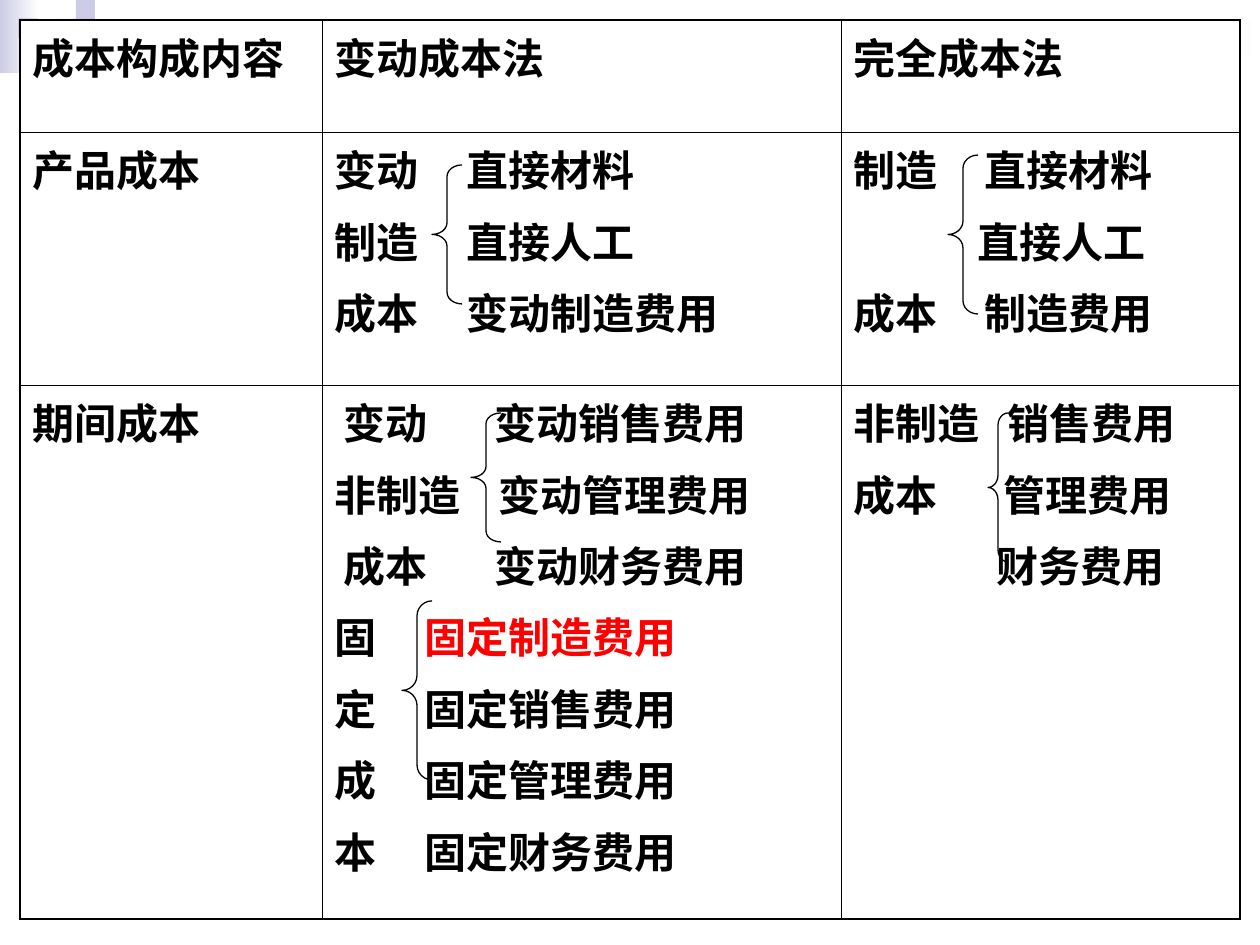
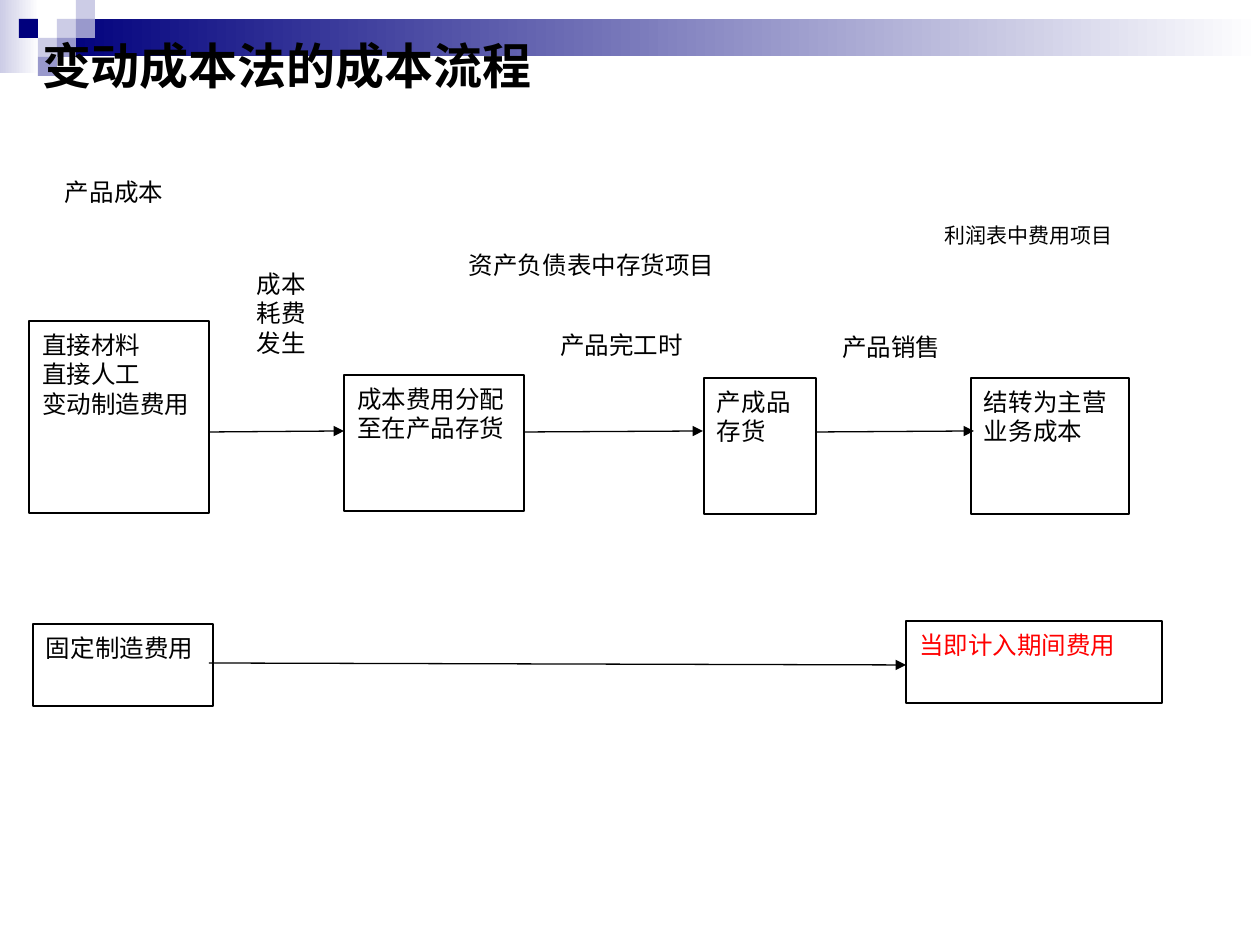
from dataclasses import dataclass
from typing import NamedTuple

from lxml import etree
from pptx import Presentation
from pptx import util as u
from pptx.dml.color import RGBColor
from pptx.enum import shapes, text
from pptx.oxml import ns

EMU_PER_PX = 914400 / 126
COLORS = {
    "black": "000000",
    "white": "FFFFFF",
    "red": "FF0000",
    "navy": "00007D",
    "lavender": "CCCCE6",
    "periwinkle": "9999CC",
}
CJK_FONT = "Noto Sans CJK SC"
INSETS = (13, 6, 13, 6)
LABEL_INSETS = (13, 9, 13, 6)
OUTER_BORDER, INNER_BORDER, LINE_WIDTH = 1.08, 0.45, 0.75


class Rect(NamedTuple):
    left: int
    top: int
    width: int
    height: int


class Line(NamedTuple):
    text: str
    tabs: tuple[int, ...] = ()
    last_color: str = "black"


@dataclass(frozen=True)
class FlowBox:
    rect: Rect
    lines: tuple[str, ...]
    outlined: bool = True
    color: str = "black"
    size: int = 14
    left_inset: int = 13


class Arrow(NamedTuple):
    start_x: int
    start_y: int
    end_x: int
    end_y: int


MOSAIC_STEP = 19
MOSAIC = [
    (3, 1, "lavender"), (4, 0, "lavender"), (4, 1, "periwinkle"), (2, 2, "lavender"),
    (1, 1, "navy"), (3, 2, "periwinkle"), (2, 3, "periwinkle"),
]
GRADIENTS = [(Rect(0, 0, 39, 73), "lavender"), (Rect(57, 19, 1203, 37), "navy")]

TABLE_POSITION = (20, 20)
COLUMN_WIDTHS = [302, 519, 399]
ROW_HEIGHTS = [112, 253, 534]
COST_TABLE = [
    [[Line("成本构成内容")], [Line("变动成本法")], [Line("完全成本法")]],
    [
        [Line("产品成本")],
        [
            Line("变动\t直接材料", (132,)),
            Line("制造\t直接人工", (132,)),
            Line("成本\t变动制造费用", (132,)),
        ],
        [
            Line("制造\t直接材料", (131,)),
            Line("\t直接人工", (124,)),
            Line("成本\t制造费用", (131,)),
        ],
    ],
    [
        [Line("期间成本")],
        [
            Line("\t变动\t变动销售费用", (9, 160)),
            Line("非制造\t变动管理费用", (164,)),
            Line("\t成本\t变动财务费用", (9, 160)),
            Line("固\t固定制造费用", (90,), "red"),
            Line("定\t固定销售费用", (90,)),
            Line("成\t固定管理费用", (90,)),
            Line("本\t固定财务费用", (90,)),
        ],
        [
            Line("非制造\t销售费用", (154,)),
            Line("成本\t管理费用", (150,)),
            Line("\t财务费用", (143,)),
        ],
    ],
]
BRACES = [
    Rect(432, 165, 30, 139), Rect(948, 155, 30, 159), Rect(471, 413, 30, 129),
    Rect(402, 601, 30, 179), Rect(988, 413, 20, 149),
]

FLOW_BOXES = [
    FlowBox(Rect(29, 321, 180, 192), ("直接材料", "直接人工", "变动制造费用")),
    FlowBox(Rect(52, 168, 135, 82), ("产品成本",), outlined=False),
    FlowBox(Rect(233, 260, 112, 136), ("成本", "耗费", "发生"), outlined=False, left_inset=24),
    FlowBox(Rect(344, 375, 180, 136), ("成本费用分配", "至在产品存货")),
    FlowBox(Rect(547, 321, 158, 82), ("产品完工时",), outlined=False),
    FlowBox(Rect(456, 241, 315, 82), ("资产负债表中存货项目",), outlined=False),
    FlowBox(Rect(704, 378, 112, 136), ("产成品", "存货")),
    FlowBox(Rect(829, 323, 135, 82), ("产品销售",), outlined=False),
    FlowBox(Rect(971, 378, 158, 136), ("结转为主营", "业务成本")),
    FlowBox(Rect(932, 214, 224, 82), ("利润表中费用项目",), outlined=False, size=12),
    FlowBox(Rect(33, 624, 180, 82), ("固定制造费用",)),
    FlowBox(Rect(906, 621, 256, 82), ("当即计入期间费用",), color="red"),
]
ARROWS = [
    Arrow(209, 432, 344, 431), Arrow(524, 432, 703, 431),
    Arrow(816, 432, 974, 431), Arrow(209, 663, 906, 665),
]


def px(length: float) -> u.Emu:
    return u.Emu(round(length * EMU_PER_PX))


def emu(rect: Rect) -> list[u.Emu]:
    return [px(length) for length in rect]


def rgb(name: str) -> RGBColor:
    return RGBColor.from_string(COLORS[name])


def add_child(parent, tag: str, **attributes):
    return etree.SubElement(parent, ns.qn(tag), attributes)


def write_text(frame, lines, *, size, font, bold=False, align=text.PP_ALIGN.LEFT,
               space_before=0, line_spacing=None) -> None:
    for index, line in enumerate(lines):
        paragraph = frame.paragraphs[0] if index == 0 else frame.add_paragraph()
        paragraph.alignment = align
        paragraph.space_before = u.Pt(space_before if index else 0)
        if line_spacing:
            paragraph.line_spacing = u.Pt(line_spacing)
        if line.tabs:
            tab_list = add_child(paragraph._p.get_or_add_pPr(), "a:tabLst")
            for tab in line.tabs:
                add_child(tab_list, "a:tab", pos=str(px(tab)), algn="l")
        head, tab, tail = line.text.rpartition("\t")
        for words, color in ((head + tab, "black"), (tail, line.last_color)):
            if not words:
                continue
            run = paragraph.add_run()
            run.text = words
            run.font.size = u.Pt(size)
            run.font.bold = bold
            run.font.name = font
            run.font.color.rgb = rgb(color)
            add_child(run._r.get_or_add_rPr(), "a:ea", typeface=CJK_FONT)


def set_insets(frame, insets: tuple[int, ...]) -> None:
    frame.margin_left, frame.margin_top, frame.margin_right, frame.margin_bottom = map(px, insets)


def add_box(slide, rect: Rect, *, fill=None, gradient=None, line=None,
            kind=shapes.MSO_SHAPE.RECTANGLE):
    shape = slide.shapes.add_shape(kind, *emu(rect))
    shape.shadow.inherit = False
    if gradient:
        shape.fill.gradient()
        shape.fill.gradient_angle = 0
        for stop, color in zip(shape.fill.gradient_stops, (gradient, "white")):
            stop.color.rgb = rgb(color)
    elif fill:
        shape.fill.solid()
        shape.fill.fore_color.rgb = rgb(fill)
    else:
        shape.fill.background()
    if line:
        shape.line.color.rgb = rgb(line)
        shape.line.width = u.Pt(LINE_WIDTH)
    else:
        shape.line.fill.background()
    return shape


def add_decorated_slide(presentation, layout_index: int):
    slide = presentation.slides.add_slide(presentation.slide_layouts[layout_index])
    for rect, color in GRADIENTS:
        add_box(slide, rect, gradient=color)
    for column, row, color in MOSAIC:
        square = Rect(column * MOSAIC_STEP, row * MOSAIC_STEP, MOSAIC_STEP, MOSAIC_STEP)
        add_box(slide, square, fill=color)
    return slide


def set_borders(cell, row: int, column: int) -> None:
    properties = cell._tc.get_or_add_tcPr()
    outer_edges = {
        "a:lnL": column == 0,
        "a:lnR": column == len(COLUMN_WIDTHS) - 1,
        "a:lnT": row == 0,
        "a:lnB": row == len(ROW_HEIGHTS) - 1,
    }
    for tag, is_outer in outer_edges.items():
        width = u.Pt(OUTER_BORDER if is_outer else INNER_BORDER)
        border = add_child(properties, tag, w=str(width))
        add_child(add_child(border, "a:solidFill"), "a:srgbClr", val=COLORS["black"])


def add_cost_table(slide) -> None:
    rect = Rect(*TABLE_POSITION, sum(COLUMN_WIDTHS), sum(ROW_HEIGHTS))
    table = slide.shapes.add_table(len(ROW_HEIGHTS), len(COLUMN_WIDTHS), *emu(rect)).table
    table.first_row = table.horz_banding = False
    for column, width in zip(table.columns, COLUMN_WIDTHS):
        column.width = px(width)
    for row, height in zip(table.rows, ROW_HEIGHTS):
        row.height = px(height)
    for row_index, row_cells in enumerate(COST_TABLE):
        for column_index, lines in enumerate(row_cells):
            cell = table.cell(row_index, column_index)
            set_insets(cell, INSETS)
            set_borders(cell, row_index, column_index)
            cell.fill.solid()
            cell.fill.fore_color.rgb = rgb("white")
            write_text(cell.text_frame, lines, size=24, font=CJK_FONT, bold=True, space_before=6)


def add_brace(slide, rect: Rect) -> None:
    brace = add_box(slide, rect, line="black", kind=shapes.MSO_SHAPE.LEFT_BRACE)
    brace.adjustments[0] = rect.height / (12 * rect.width)


def add_flow_box(slide, box: FlowBox) -> None:
    shape = add_box(slide, box.rect, fill="white", line="black" if box.outlined else None)
    frame = shape.text_frame
    frame.word_wrap = True
    frame.vertical_anchor = text.MSO_ANCHOR.TOP
    set_insets(frame, (box.left_inset, *LABEL_INSETS[1:]))
    lines = [Line(words, last_color=box.color) for words in box.lines]
    write_text(frame, lines, size=box.size, font="Times New Roman",
               align=text.PP_ALIGN.JUSTIFY, line_spacing=box.size * 1.2)


def add_arrow(slide, arrow: Arrow) -> None:
    connector = slide.shapes.add_connector(shapes.MSO_CONNECTOR.STRAIGHT, *map(px, arrow))
    connector.line.color.rgb = rgb("black")
    connector.line.width = u.Pt(LINE_WIDTH)
    add_child(connector.line._get_or_add_ln(), "a:tailEnd", type="triangle")
    add_child(connector._element.spPr, "a:effectLst")


def set_title(slide, words: str) -> None:
    title = slide.shapes.title
    title.left, title.top, title.width, title.height = emu(Rect(29, 29, 620, 72))
    tree = slide.shapes._spTree
    tree.remove(title._element)
    tree.append(title._element)
    frame = title.text_frame
    frame.word_wrap = True
    frame.auto_size = text.MSO_AUTO_SIZE.NONE
    frame.vertical_anchor = text.MSO_ANCHOR.MIDDLE
    set_insets(frame, INSETS)
    write_text(frame, [Line(words)], size=28, font="Arial", bold=True)


def build_comparison_slide(presentation) -> None:
    slide = add_decorated_slide(presentation, 6)
    add_cost_table(slide)
    for rect in BRACES:
        add_brace(slide, rect)


def build_flow_slide(presentation) -> None:
    slide = add_decorated_slide(presentation, 5)
    set_title(slide, "变动成本法的成本流程")
    for box in FLOW_BOXES:
        add_flow_box(slide, box)
    for arrow in ARROWS:
        add_arrow(slide, arrow)


def main() -> None:
    presentation = Presentation()
    presentation.slide_width, presentation.slide_height = px(1260), px(945)
    build_comparison_slide(presentation)
    build_flow_slide(presentation)
    presentation.save("out.pptx")


if __name__ == "__main__":
    main()
